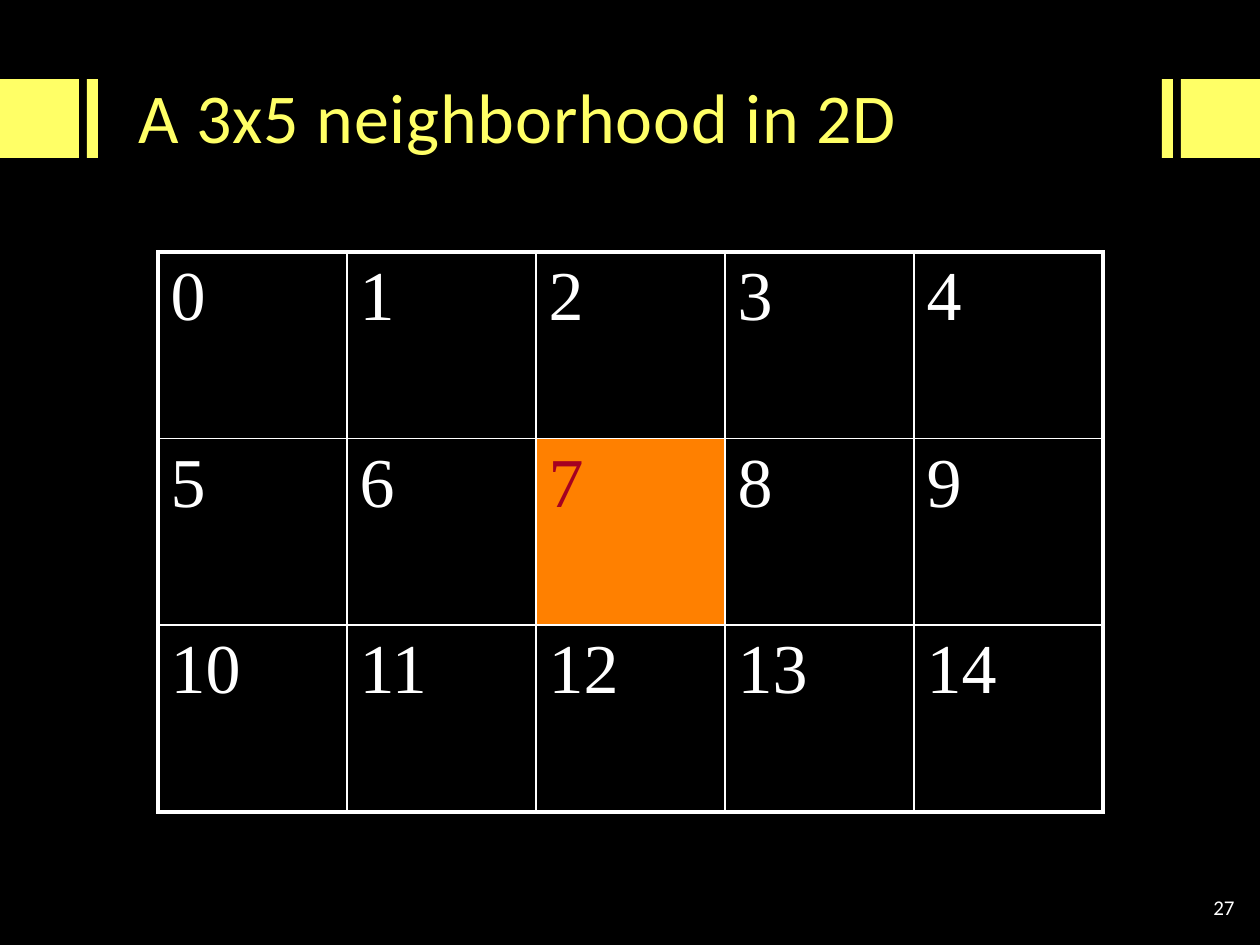
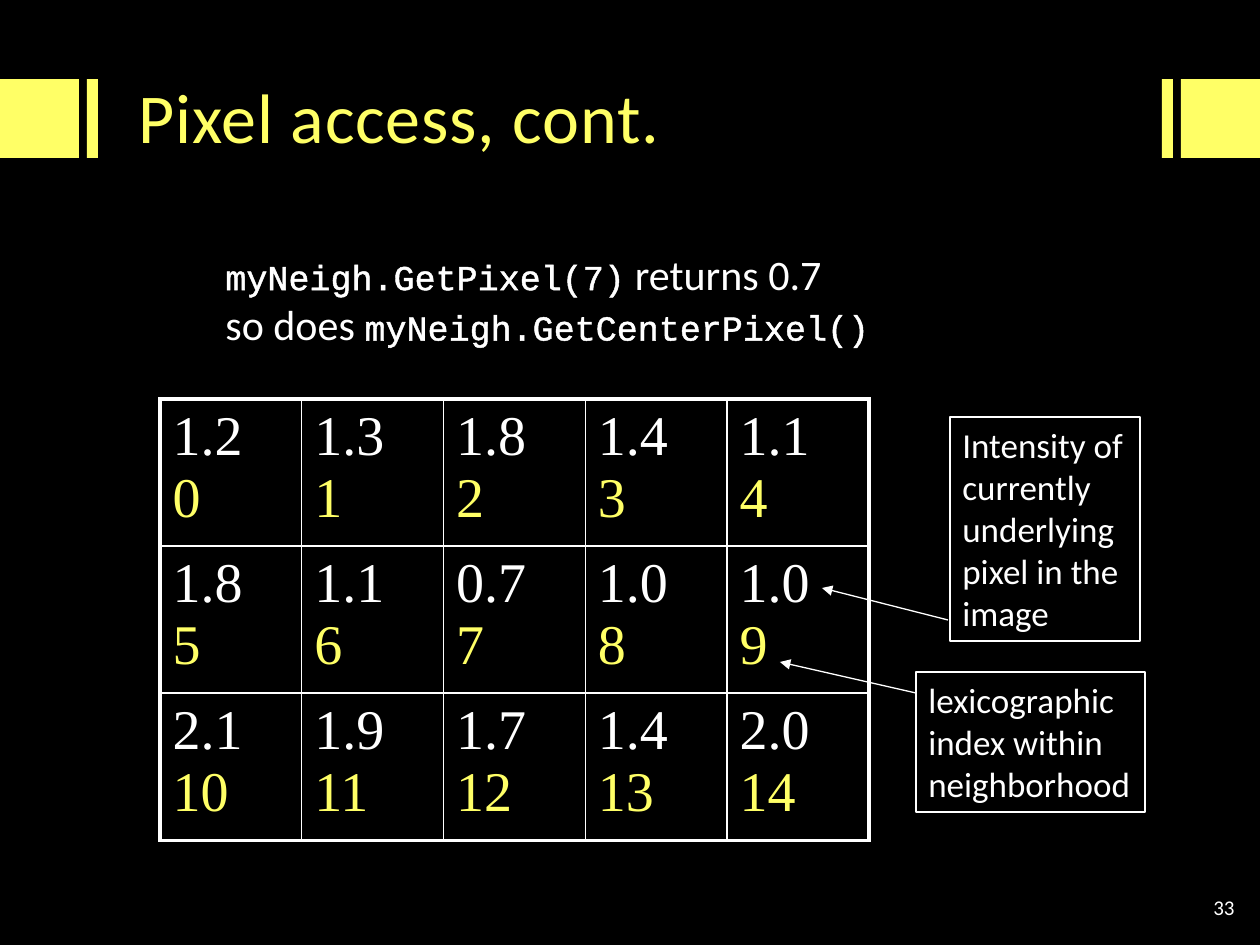
"""Builds two slides on pixel neighborhoods."""
from lxml import etree
from pptx import Presentation
from pptx.dml.color import RGBColor
from pptx.enum.shapes import MSO_CONNECTOR as CONNECTOR, MSO_SHAPE as SHAPE
from pptx.enum.text import MSO_ANCHOR as ANCHOR, MSO_AUTO_SIZE as AUTO_SIZE, PP_ALIGN as ALIGN
from pptx.oxml.ns import qn
from pptx.util import Emu, Pt

EMU_PER_PX = 914400 / 126
SLIDE_WIDTH, SLIDE_HEIGHT = 1260, 945

BLACK = RGBColor(0x00, 0x00, 0x00)
WHITE = RGBColor(0xFF, 0xFF, 0xFF)
YELLOW = RGBColor(0xFF, 0xFF, 0x66)
ORANGE = RGBColor(0xFF, 0x80, 0x00)
DARK_RED = RGBColor(0xA5, 0x00, 0x21)

SANS, SERIF, MONO = "Calibri", "Times New Roman", "Courier New"
CENTER_INDEX = 7
COLUMNS = 5
INTENSITIES = [
    ["1.2", "1.3", "1.8", "1.4", "1.1"],
    ["1.8", "1.1", "0.7", "1.0", "1.0"],
    ["2.1", "1.9", "1.7", "1.4", "2.0"],
]


def px(*lengths):
    return [Emu(round(length * EMU_PER_PX)) for length in lengths]


def set_font(font, name, size, color):
    font.name, font.size = name, Pt(size)
    font.color.rgb = color


def add_line_xml(parent, tag, points):
    line = etree.SubElement(parent, qn(tag), w=str(int(Pt(points))))
    fill = etree.SubElement(line, qn("a:solidFill"))
    etree.SubElement(fill, qn("a:srgbClr"), val=str(WHITE))


class Deck:
    """Holds the style and the current slide."""

    def __init__(self):
        self.presentation = Presentation()
        size = px(SLIDE_WIDTH, SLIDE_HEIGHT)
        self.presentation.slide_width, self.presentation.slide_height = size
        self.slide = None

    def new_slide(self, title, number):
        self.slide = self.presentation.slides.add_slide(self.presentation.slide_layouts[6])
        fill = self.slide.background.fill
        fill.solid()
        fill.fore_color.rgb = BLACK
        for left, width in ((0, 79), (87, 11)):
            self.band(left, width)
            self.band(SLIDE_WIDTH - left - width, width)
        heading = self.text([title], 126, 37, 1008, 156, 40, YELLOW)
        run = heading.text_frame.paragraphs[0].runs[0]
        run._r.get_or_add_rPr().set("spc", "50")
        self.text([number], 1121, 882, 126, 50, 12, align=ALIGN.RIGHT)

    def rectangle(self, *box):
        shape = self.slide.shapes.add_shape(SHAPE.RECTANGLE, *px(*box))
        shape.shadow.inherit = False
        return shape

    def band(self, left, width):
        shape = self.rectangle(left, 79, width, 79)
        shape.fill.solid()
        shape.fill.fore_color.rgb = YELLOW
        shape.line.fill.background()

    def fill_frame(self, frame, lines, size, color, align=ALIGN.LEFT):
        frame.text = "\n".join(lines)
        for paragraph in frame.paragraphs:
            paragraph.alignment = align
            set_font(paragraph.font, SANS, size, color)

    def text(self, lines, left, top, width, height, size, color=WHITE, align=ALIGN.LEFT):
        box = self.slide.shapes.add_textbox(*px(left, top, width, height))
        frame = box.text_frame
        frame.word_wrap = True
        frame.vertical_anchor = ANCHOR.MIDDLE
        self.fill_frame(frame, lines, size, color, align)
        return box

    def code_text(self, lines, *box):
        frame = self.slide.shapes.add_textbox(*px(*box)).text_frame
        frame.word_wrap = False
        frame.auto_size = AUTO_SIZE.SHAPE_TO_FIT_TEXT
        for index, pieces in enumerate(lines):
            paragraph = frame.add_paragraph() if index else frame.paragraphs[0]
            for words, is_code in pieces:
                run = paragraph.add_run()
                run.text = words
                if is_code:
                    add_line_xml(run._r.get_or_add_rPr(), "a:ln", 1.45)
                set_font(run.font, MONO if is_code else SANS, 20 if is_code else 24, WHITE)

    def callout(self, lines, *box):
        shape = self.rectangle(*box)
        shape.fill.background()
        shape.line.color.rgb = WHITE
        shape.line.width = Pt(0.75)
        frame = shape.text_frame
        frame.word_wrap = False
        frame.auto_size = AUTO_SIZE.SHAPE_TO_FIT_TEXT
        frame.vertical_anchor = ANCHOR.TOP
        self.fill_frame(frame, lines, 20, WHITE)

    def arrow(self, *ends):
        connector = self.slide.shapes.add_connector(CONNECTOR.STRAIGHT, *px(*ends))
        connector.line.color.rgb = WHITE
        connector.line.width = Pt(0.75)
        properties = connector._element.spPr
        etree.SubElement(properties.find(qn("a:ln")), qn("a:tailEnd"), type="triangle")
        etree.SubElement(properties, qn("a:effectLst"))

    def grid(self, rows, left, top, width, height, size, colors, center=None):
        last_row, last_column = len(rows) - 1, len(rows[0]) - 1
        frame = self.slide.shapes.add_table(
            len(rows), len(rows[0]), *px(left, top, width, height))
        table = frame.table
        table.first_row = table.horz_banding = False
        for row_index, row in enumerate(rows):
            for column_index, lines in enumerate(row):
                cell = table.cell(row_index, column_index)
                outer = {
                    "a:lnL": column_index == 0,
                    "a:lnR": column_index == last_column,
                    "a:lnT": row_index == 0,
                    "a:lnB": row_index == last_row,
                }
                properties = cell._tc.get_or_add_tcPr()
                for tag, is_outer in outer.items():
                    add_line_xml(properties, tag, 2.25 if is_outer else 1)
                is_center = lines == center
                if is_center:
                    cell.fill.solid()
                    cell.fill.fore_color.rgb = ORANGE
                else:
                    cell.fill.background()
                cell.text = "\n".join(lines)
                for paragraph, color in zip(cell.text_frame.paragraphs, colors):
                    set_font(paragraph.font, SERIF, size, DARK_RED if is_center else color)


def neighborhood_slide(deck):
    deck.new_slide("A 3x5 neighborhood in 2D", "27")
    rows = [[[str(start + column)] for column in range(COLUMNS)]
            for start in range(0, 15, COLUMNS)]
    deck.grid(rows, 158, 252, 945, 560, 40, [WHITE], center=[str(CENTER_INDEX)])


def pixel_access_slide(deck):
    deck.new_slide("Pixel access, cont.", "33")
    rows = [[[value, str(row * COLUMNS + column)] for column, value in enumerate(values)]
            for row, values in enumerate(INTENSITIES)]
    deck.grid(rows, 160, 399, 709, 420, 32, [WHITE, YELLOW])
    deck.code_text([
        [("myNeigh.GetPixel(7)", True), (" returns 0.7", False)],
        [("so does ", False), ("myNeigh.GetCenterPixel()", True)],
    ], 213, 242, 675, 115)
    deck.callout(["lexicographic", "index within", "neighborhood"], 916, 672, 229, 140)
    deck.callout(["Intensity of", "currently", "underlying", "pixel in the", "image"],
                 950, 417, 190, 224)
    deck.arrow(948, 620, 822, 588)
    deck.arrow(916, 693, 780, 662)


def main():
    deck = Deck()
    neighborhood_slide(deck)
    pixel_access_slide(deck)
    deck.presentation.save("out.pptx")


if __name__ == "__main__":
    main()
